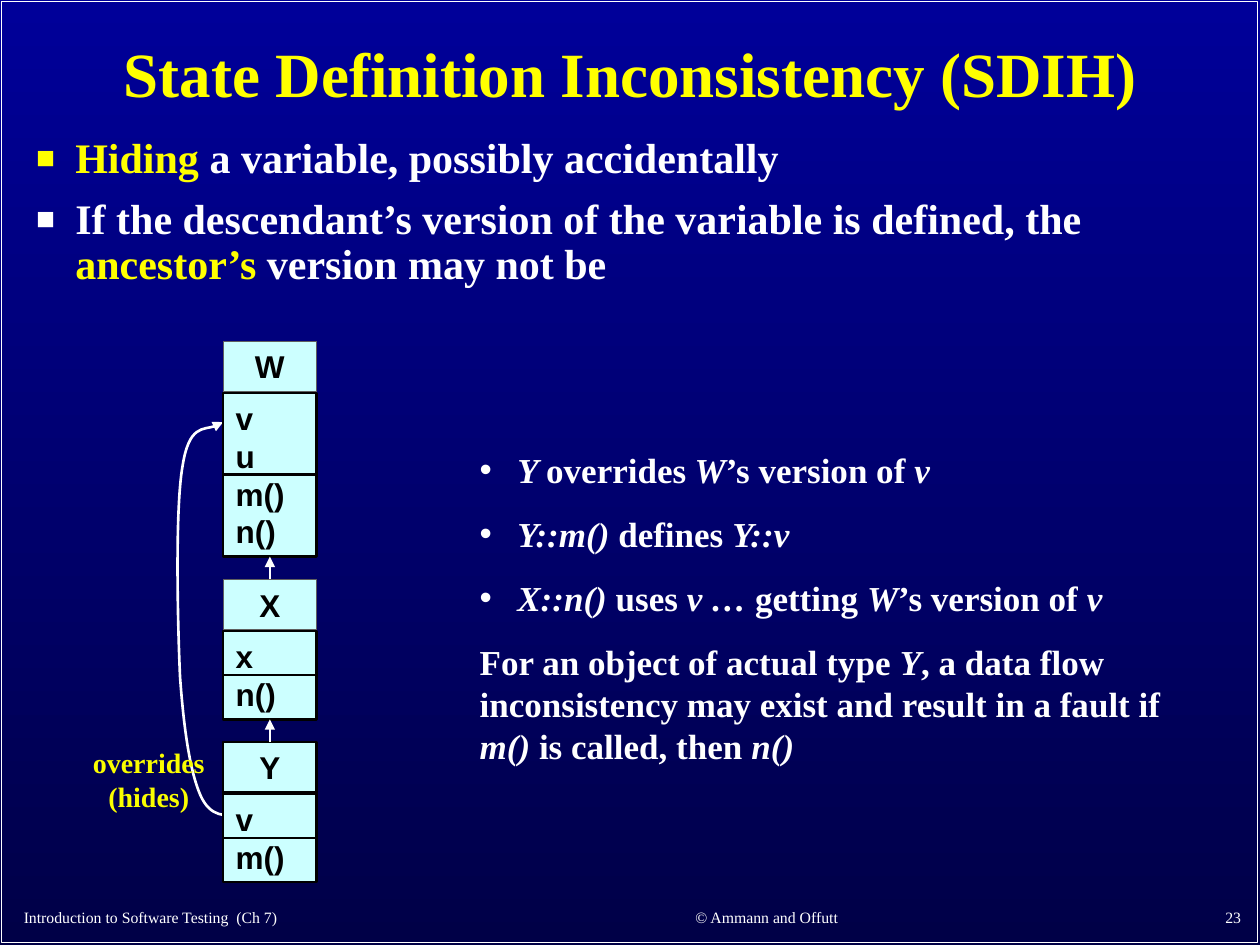
"""Build the State Definition Inconsistency slide with its class hierarchy."""
from dataclasses import dataclass

from lxml.etree import SubElement
from pptx import Presentation
from pptx.dml.color import RGBColor
from pptx.enum.shapes import MSO_CONNECTOR as CONN, MSO_SHAPE as SHAPE
from pptx.enum.text import MSO_ANCHOR as ANCHOR, PP_ALIGN as ALIGN
from pptx.oxml.ns import qn
from pptx.util import Cm, Pt

COLORS = {
    "top": "000099", "bottom": "000047", "white": "FFFFFF", "black": "000000",
    "yellow": "FFFF00", "lemon": "FAFD00", "cyan": "CCFFFF", "gray": "5F5F5F",
}
SERIF, SANS = "Times New Roman", "Arial"
CLASS_X, CLASS_W, HEADER_H, BODY_DY = 4.5, 1.88, 1.02, 1.04


@dataclass
class Run:
    text: str
    color: str = "white"
    italic: bool = False


@dataclass
class Para:
    runs: list[Run]
    bullet: str = ""
    bullet_color: str = "white"
    bullet_pct: int = 100
    indent: float = 0


@dataclass
class Style:
    size: float
    font: str = SERIF
    bold: bool = True
    align: ALIGN = ALIGN.LEFT
    anchor: ANCHOR = ANCHOR.TOP
    spacing: float = 1.0
    before: float = 0


@dataclass
class ClassBox:
    name: str
    members: list[str]
    top: float
    body_h: float
    edge: str = "gray"
    edge_pt: float = 0.75


@dataclass
class Text:
    box: tuple[float, float, float, float]
    paras: list[Para]
    style: Style


def rgb(name: str) -> RGBColor:
    return RGBColor.from_string(COLORS[name])


def plain(*lines: str, color: str = "white") -> list[Para]:
    return [Para([Run(line, color)]) for line in lines]


def mixed(*parts: str) -> list[Run]:
    """Alternate italic and upright runs, italic first."""
    return [Run(t, italic=i % 2 == 0) for i, t in enumerate(parts) if t]


def add_bullet(p, para: Para) -> None:
    pPr = p._p.get_or_add_pPr()
    pPr.set("marL", str(Cm(para.indent)))
    pPr.set("indent", str(-Cm(para.indent)))
    clr = SubElement(pPr, qn("a:buClr"))
    SubElement(clr, qn("a:srgbClr"), val=COLORS[para.bullet_color])
    SubElement(pPr, qn("a:buSzPct"), val=str(para.bullet_pct * 1000))
    SubElement(pPr, qn("a:buFont"), typeface=SANS)
    SubElement(pPr, qn("a:buChar"), char=para.bullet)


def write(tf, paras: list[Para], style: Style) -> None:
    tf.word_wrap = True
    tf.vertical_anchor = style.anchor
    for i, para in enumerate(paras):
        p = tf.add_paragraph() if i else tf.paragraphs[0]
        if para.bullet:
            add_bullet(p, para)
        p.alignment = style.align
        p.line_spacing = style.spacing
        p.space_before = Pt(style.before if i else 0)
        for run in para.runs:
            r = p.add_run()
            r.text = run.text
            r.font.name, r.font.size = style.font, Pt(style.size)
            r.font.bold, r.font.italic = style.bold, run.italic
            r.font.color.rgb = rgb(run.color)


def add_text(shapes, text: Text) -> None:
    s = shapes.add_textbox(*map(Cm, text.box))
    write(s.text_frame, text.paras, text.style)


def set_line(s, color: str, width: float, arrow: bool = False) -> None:
    s.line.color.rgb = rgb(color)
    s.line.width = Pt(width)
    if arrow:
        SubElement(s.element.spPr.find(qn("a:ln")), qn("a:tailEnd"), type="triangle")


def add_rect(shapes, box: tuple, fill: str, edge: str, width: float):
    s = shapes.add_shape(SHAPE.RECTANGLE, *map(Cm, box))
    s.shadow.inherit = False
    if fill:
        s.fill.solid()
        s.fill.fore_color.rgb = rgb(fill)
    else:
        s.fill.background()
    set_line(s, edge, width)
    return s


def join(shapes, a, a_site: int, b, b_site: int, color: str, width: float,
         arrow: bool = False) -> None:
    s = shapes.add_connector(CONN.STRAIGHT, 0, 0, 0, 0)
    s.begin_connect(a, a_site)
    s.end_connect(b, b_site)
    SubElement(s.element.spPr, qn("a:effectLst"))
    set_line(s, color, width, arrow)


def add_class(shapes, c: ClassBox) -> tuple:
    """Draw a class and return its header and body."""
    head = add_rect(shapes, (CLASS_X, c.top, CLASS_W, HEADER_H), "cyan", c.edge, c.edge_pt)
    write(head.text_frame, plain(c.name, color="black"),
          Style(18, SANS, align=ALIGN.CENTER))
    body = add_rect(shapes, (CLASS_X, c.top + BODY_DY, CLASS_W, c.body_h),
                    "cyan", "black", 1.5)
    write(body.text_frame, plain(*c.members, color="black"), Style(18, SANS))
    join(shapes, body, 1, body, 3, "black", 1.5)
    return head, body


def add_curve(shapes, points: list[tuple[float, float]]) -> None:
    """Draw a cubic Bezier arrow through a start and triples of points."""
    start, *rest = [(Cm(x), Cm(y)) for x, y in points]
    fb = shapes.build_freeform(*start)
    fb.add_line_segments(rest, close=False)
    s = fb.convert_to_shape()
    outline = next(s.element.iter(qn("a:path")))
    segments = outline.findall(qn("a:lnTo"))
    for i in range(0, len(segments), 3):
        bezier = SubElement(outline, qn("a:cubicBezTo"))
        for seg in segments[i:i + 3]:
            bezier.append(seg[0])
            outline.remove(seg)
    s.shadow.inherit = False
    s.fill.background()
    set_line(s, "white", 1.5, arrow=True)


OVERRIDE_CURVE = [
    (4.85, 16.41), (4.55, 16.46), (4.24, 16.48), (4.04, 16.03),
    (3.84, 15.57), (3.71, 14.76), (3.63, 13.64),
    (3.58, 12.52), (3.53, 10.26), (3.68, 9.4),
    (3.81, 8.56), (4.34, 8.66), (4.5, 8.51),
]
CLASSES = [
    ClassBox("W", ["v", "u", "m()", "n()"], 6.88, 3.3),
    ClassBox("X", ["x", "n()"], 11.68, 1.78),
    ClassBox("Y", ["v", "m()"], 14.96, 1.78, "black", 1.5),
]
POINTS = [
    Para([Run("Hiding", "yellow"), Run(" a variable, possibly accidentally")],
         "■", "yellow", 75, 0.79),
    Para([Run("If the descendant’s version of the variable is defined, the "),
          Run("ancestor’s", "yellow"), Run(" version may not be")],
         "■", "white", 75, 0.79),
]
NOTES = [Para(runs, "•", indent=0.76) for runs in (
    mixed("Y ", "overrides", " W", "’s version of", " v"),
    mixed("Y::m()", " defines ", "Y::v"),
    mixed("X::n()", " uses ", "v … ", "getting ", "W", "’s version of ", "v"),
)] + [Para(mixed(
    "", "For an object of actual type ", "Y",
    ", a data flow inconsistency may exist and result in a fault if ",
    "m()", " is called, then ", "n()"))]
FOOTERS = [
    (0.23, 10.77, "Introduction to Software Testing  (Ch 7)", ALIGN.LEFT),
    (11.43, 8.05, "© Ammann and Offutt", ALIGN.CENTER),
    (19.99, 5.28, "23", ALIGN.RIGHT),
]
TEXTS = [
    Text((0.25, 0.28, 24.92, 2.54),
         plain("State Definition Inconsistency (SDIH)", color="yellow"),
         Style(36, align=ALIGN.CENTER, anchor=ANCHOR.MIDDLE, spacing=0.9)),
    Text((0.48, 2.64, 24.46, 4.95), POINTS, Style(24, spacing=0.9, before=9)),
    Text((9.42, 8.92, 14.55, 6.65), NOTES, Style(20, before=12.5)),
    Text((1.5, 14.91, 3, 1.63), plain("overrides", "(hides)", color="lemon"),
         Style(16, align=ALIGN.CENTER)),
] + [Text((x, 18.13, w, 0.68), plain(t),
          Style(9, bold=False, align=align, anchor=ANCHOR.BOTTOM))
     for x, w, t, align in FOOTERS]


def main() -> None:
    prs = Presentation()
    prs.slide_width, prs.slide_height = Cm(25.4), Cm(19.05)
    slide = prs.slides.add_slide(prs.slide_layouts[6])
    fill = slide.background.fill
    fill.gradient()
    fill.gradient_angle = 270
    for stop, color in zip(fill.gradient_stops, ("top", "bottom")):
        stop.color.rgb = rgb(color)
    shapes = slide.shapes
    add_rect(shapes, (0.03, 0.03, 25.32, 18.97), "", "white", 1)
    add_curve(shapes, OVERRIDE_CURVE)
    drawn = [add_class(shapes, c) for c in CLASSES]
    for (_, parent_body), (child_head, _) in zip(drawn, drawn[1:]):
        join(shapes, child_head, 0, parent_body, 2, "white", 0.75, arrow=True)
    for text in TEXTS:
        add_text(shapes, text)
    prs.save("out.pptx")


if __name__ == "__main__":
    main()
